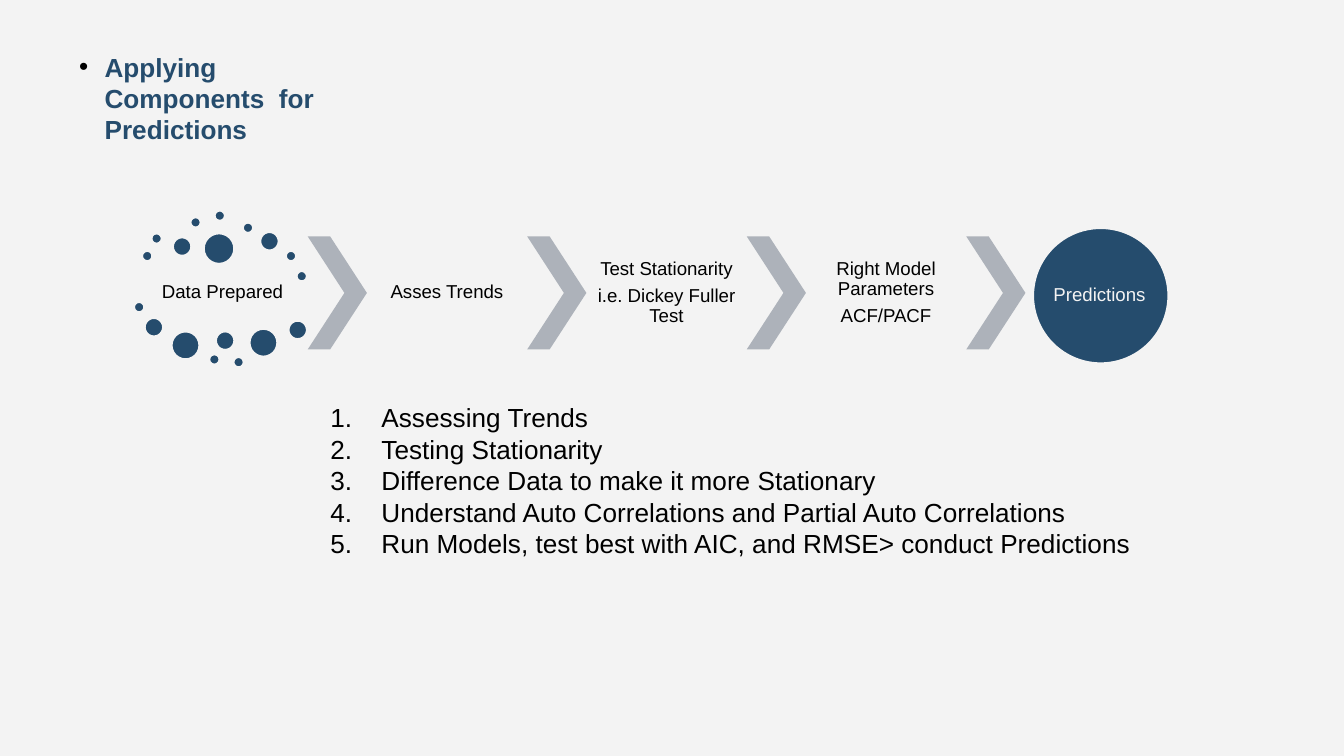
from lxml import etree
from pptx import Presentation
from pptx.dml.color import RGBColor
from pptx.enum.shapes import MSO_SHAPE
from pptx.enum.text import MSO_ANCHOR, PP_ALIGN
from pptx.oxml.ns import qn
from pptx.util import Inches, Pt

OVAL, CHEVRON = MSO_SHAPE.OVAL, MSO_SHAPE.CHEVRON
MIDDLE, CENTER = MSO_ANCHOR.MIDDLE, PP_ALIGN.CENTER
NAVY, GRAY, PALE, BLACK = "254C6D", "ADB2BA", "F3F3F3", "000000"
color = RGBColor.from_string

presentation = Presentation()
presentation.slide_width = Inches(10)
presentation.slide_height = Inches(10 * 9 / 16)
slide = presentation.slides.add_slide(presentation.slide_layouts[6])
slide.background.fill.solid()
slide.background.fill.fore_color.rgb = color(PALE)


def add_text(box, lines, size, text_color, inset, bold=False):
    """Add a wrapped text box with one paragraph per line and return its frame."""
    text_frame = slide.shapes.add_textbox(*map(Inches, box)).text_frame
    text_frame.word_wrap = True
    text_frame.margin_left = text_frame.margin_right = Inches(inset)
    text_frame.margin_top = text_frame.margin_bottom = Inches(inset)
    text_frame.text = "\n".join(lines)
    for paragraph in text_frame.paragraphs:
        for run in paragraph.runs:
            run.font.name = "Arial"
            run.font.size = Pt(size)
            run.font.bold = bold
            run.font.color.rgb = color(text_color)
    return text_frame


def add_shape(kind, box, fill):
    shape = slide.shapes.add_shape(kind, *map(Inches, box))
    shape.shadow.inherit = False
    shape.fill.solid()
    shape.fill.fore_color.rgb = color(fill)
    if kind == OVAL:
        shape.line.color.rgb = color(PALE)
        shape.line.width = Pt(2)
    else:
        shape.line.fill.background()
    return shape


# Numbered list and heading
numbered_list = add_text((2.36, 2.94, 6.39, 1.28), [
    "Assessing Trends",
    "Testing Stationarity",
    "Difference Data to make it more Stationary",
    "Understand Auto Correlations and Partial Auto Correlations",
    "Run Models, test best with AIC, and RMSE> conduct Predictions",
], 14, BLACK, 0.1)
numbered_list.margin_top = numbered_list.margin_bottom = Inches(0.05)
heading = add_text((0.49, 0.28, 2.04, 0.84), ["Applying  Components  for Predictions"],
                   14, NAVY, 0.1, bold=True)

for text_frame, indent, tag, attributes in [
    (numbered_list, 0.38, "a:buAutoNum", {"type": "arabicPeriod"}),
    (heading, 0.19, "a:buChar", {"char": "•"}),
]:
    for paragraph in text_frame.paragraphs:
        properties = paragraph._p.get_or_add_pPr()
        properties.set("marL", str(Inches(indent)))
        properties.set("indent", str(-Inches(indent)))
        bullet_color = etree.SubElement(properties, qn("a:buClr"))
        etree.SubElement(bullet_color, qn("a:srgbClr"), val=BLACK)
        etree.SubElement(properties, qn("a:buFont"), typeface="Arial")
        etree.SubElement(properties, qn(tag), attributes)

# Dots around the first step: left and top of each, grouped by diameter
dots = {
    0.09: [(1.05, 1.86), (1.12, 1.73), (1.41, 1.61), (1.59, 1.56), (1.8, 1.65),
           (2.12, 1.86), (2.2, 2.01), (0.99, 2.24), (1.55, 2.63), (1.73, 2.65)],
    0.15: [(1.28, 1.76), (1.93, 1.72), (1.07, 2.36), (1.6, 2.46), (2.14, 2.38)],
    0.22: [(1.27, 2.46), (1.85, 2.44)],
    0.24: [(1.51, 1.73)],
}
for diameter, positions in dots.items():
    for left, top in positions:
        add_shape(OVAL, (left, top, diameter, diameter), NAVY)

# Chevrons and the result circle
first_chevron, last_chevron, chevron_count = 2.29, 7.19, 4
step_top, step_height = 1.76, 0.84
step_pitch = (last_chevron - first_chevron) / (chevron_count - 1)
for index in range(chevron_count):
    box = (first_chevron + index * step_pitch, step_top, 0.44, step_height)
    chevron = add_shape(CHEVRON, box, GRAY)
    chevron.adjustments[0] = 0.62
add_shape(OVAL, (7.68, 1.69, 1.02, 1.02), NAVY)

# Step labels
steps = [
    ["Asses Trends"],
    ["Test Stationarity", "i.e. Dickey Fuller Test"],
    ["Right Model Parameters", "ACF/PACF"],
]
labels = [add_text((1.06, 1.98, 1.19, 0.39), ["Data Prepared"], 10, BLACK, 0.01)]
for index, lines in enumerate(steps):
    box = (2.73 + index * step_pitch, step_top, 1.19, step_height)
    labels.append(add_text(box, lines, 10, BLACK, 0.01))
labels.append(add_text((7.82, 1.84, 0.72, 0.72), ["Predictions"], 10, PALE, 0))

for label in labels:
    label.vertical_anchor = MIDDLE
    for paragraph in label.paragraphs:
        paragraph.alignment = CENTER
        paragraph.line_spacing = 0.9
        paragraph.space_after = Pt(3.5)

presentation.save("out.pptx")
